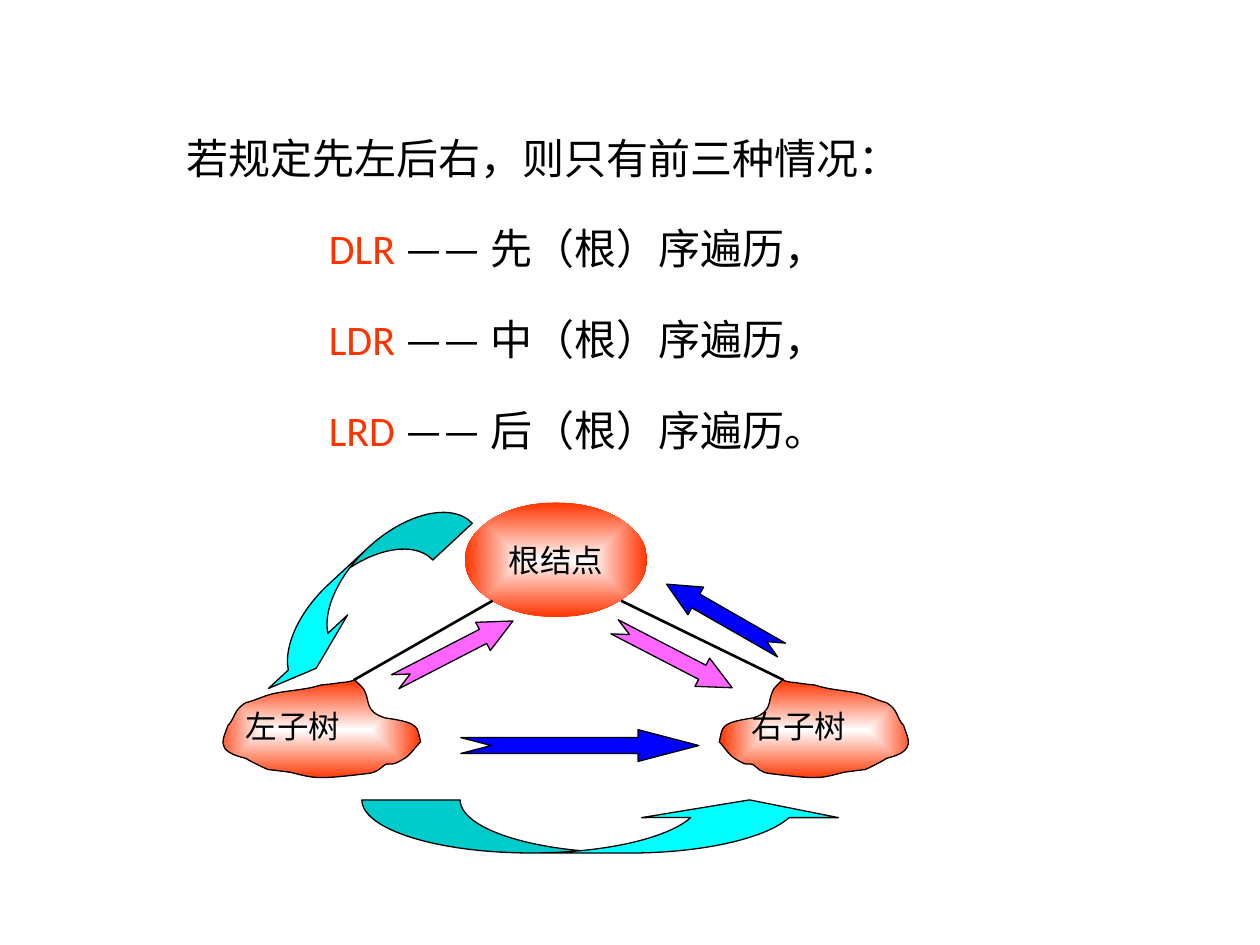
from lxml.etree import SubElement
from pptx import Presentation
from pptx.dml.color import RGBColor
from pptx.enum.shapes import MSO_CONNECTOR, MSO_SHAPE
from pptx.enum.text import MSO_ANCHOR, PP_ALIGN
from pptx.oxml.ns import qn
from pptx.util import Cm, Pt

BLACK = RGBColor(0x00, 0x00, 0x00)
WHITE = RGBColor(0xFF, 0xFF, 0xFF)
RED = RGBColor(0xFF, 0x33, 0x00)
CYAN = RGBColor(0x00, 0xFF, 0xFF)
PINK = RGBColor(0xFF, 0x66, 0xFF)
BLUE = RGBColor(0x00, 0x00, 0xFF)

LATIN_FONT = "Calibri"
CHINESE_FONT = "Noto Sans CJK SC"

HEADING = "若规定先左后右，则只有前三种情况："
ORDERS = [
    ("DLR ", "—— 先（根）序遍历，"),
    ("LDR ", "—— 中（根）序遍历，"),
    ("LRD ", "—— 后（根）序遍历。"),
]

CURVED = MSO_SHAPE.CURVED_RIGHT_ARROW
NOTCHED = MSO_SHAPE.NOTCHED_RIGHT_ARROW
ARROWS = [
    (CURVED, (2.36, 0, 1.07, 5.38), 47.1, (1.016, 2.032, 0.333), CYAN),
    (CURVED, (7.37, 2.46, 1.07, 9.8), 270, (1.853, 3.705, 0.333), CYAN),
    (NOTCHED, (3.53, 3.51, 2.67, 0.64), 332.7, (0.5, 1.06), PINK),
    (NOTCHED, (7.95, 3.63, 2.67, 0.64), 27.4, (0.5, 1.06), PINK),
    (NOTCHED, (8.97, 2.82, 2.67, 0.64), 209.8, (0.5, 1.06), BLUE),
    (NOTCHED, (5, 5.41, 4.8, 0.64), 0, (0.5, 1.917), BLUE),
]

BRANCHES = [(5.64, 1.98, 2.84, 3.58), (8.23, 1.98, 11.51, 3.58)]
SUBTREES = [
    ("左子树", (0, 3.58, 4.19, 2.01), False),
    ("右子树", (10.21, 3.58, 4.01, 2.01), True),
]

OUTLINE_SIZE = (164, 79)
OUTLINE = [
    (112, 0),
    (109, 1), (105, 2), (101, 2),
    (96, 3), (85, 4), (85, 4),
    (73, 8), (60, 8), (47, 11),
    (39, 13), (34, 16), (26, 18),
    (16, 24), (18, 30), (12, 36),
    (9, 46), (0, 56), (26, 62),
    (29, 64), (41, 70), (44, 71),
    (46, 71), (60, 73), (61, 73),
    (81, 78), (81, 79), (123, 74),
    (130, 73), (132, 70), (136, 67),
    (138, 66), (142, 67), (144, 66),
    (157, 60), (156, 57), (164, 49),
    (161, 37), (164, 34), (136, 30),
    (120, 25), (124, 17), (120, 9),
    (119, 6), (115, 3), (112, 0),
]


def add_run(paragraph, text, size, color=BLACK, font=LATIN_FONT):
    """Append one formatted run."""
    run = paragraph.add_run()
    run.text = text
    run.font.size = Pt(size)
    run.font.name = font
    run.font.color.rgb = color


def fill_from_centre(shape, path_kind):
    """Fill a shape with a gradient from a white centre to a red edge."""
    shape.fill.gradient()
    for stop, color in zip(shape.fill.gradient_stops, (WHITE, RED)):
        stop.color.rgb = color
    gradient = shape.element.spPr.find(qn("a:gradFill"))
    gradient.remove(gradient.find(qn("a:lin")))
    centre = SubElement(gradient, qn("a:path"), path=path_kind)
    SubElement(centre, qn("a:fillToRect"), l="50000", t="50000", r="50000", b="50000")


def set_outline(shape):
    """Give a shape a thin black line and no shadow."""
    shape.shadow.inherit = False
    shape.line.color.rgb = BLACK
    shape.line.width = Pt(0.75)


def curve_segments(shape):
    """Turn each three straight segments of a freeform into one Bezier curve."""
    path = next(shape.element.iter(qn("a:path")))
    segments = path.findall(qn("a:lnTo"))
    for first, second, third in zip(*[iter(segments)] * 3):
        first.tag
        curve = SubElement(path, qn("a:cubicBezTo"))
        path.replace(first, curve)
        for segment in (first, second, third):
            curve.append(segment[0])
        path.remove(second)
        path.remove(third)


def add_orders(slide, left, top, width, height):
    """Write the heading and the three indented traversal orders."""
    frame = slide.shapes.add_textbox(Cm(left), Cm(top), Cm(width), Cm(height)).text_frame
    frame.word_wrap = True
    paragraph = frame.paragraphs[0]
    paragraph.line_spacing = 1.8
    add_run(paragraph, HEADING, 24)
    for name, meaning in ORDERS:
        paragraph = frame.add_paragraph()
        paragraph.line_spacing = 1.8
        paragraph._p.get_or_add_pPr().set("marL", str(Cm(2.87)))
        add_run(paragraph, name, 24, RED)
        add_run(paragraph, meaning, 24)


def add_arrows(slide, left, top):
    """Draw the arrows that show the visiting directions."""
    for kind, (x, y, width, height), rotation, adjustments, color in ARROWS:
        arrow = slide.shapes.add_shape(
            kind, Cm(left + x), Cm(top + y), Cm(width), Cm(height)
        )
        arrow.rotation = rotation
        for index, value in enumerate(adjustments):
            arrow.adjustments[index] = value
        arrow.fill.solid()
        arrow.fill.fore_color.rgb = color
        set_outline(arrow)


def add_subtree(group, label, left, top, width, height, mirrored):
    """Draw one subtree blob with its label."""
    columns, rows = OUTLINE_SIZE
    points = [
        (
            Cm(left + width * (columns - x if mirrored else x) / columns),
            Cm(top + height * y / rows),
        )
        for x, y in OUTLINE
    ]
    builder = group.shapes.build_freeform(*points[0])
    builder.add_line_segments(points[1:], close=True)
    blob = builder.convert_to_shape()
    curve_segments(blob)
    fill_from_centre(blob, "rect")
    set_outline(blob)
    box = group.shapes.add_textbox(Cm(left + 0.41), Cm(top + 0.41), Cm(3.48), Cm(1.27))
    box.text_frame.word_wrap = True
    add_run(box.text_frame.paragraphs[0], label, 18, font=CHINESE_FONT)


def add_tree(slide, left, top):
    """Draw the root, its branches and both subtrees as one group."""
    group = slide.shapes.add_group_shape()
    root = group.shapes.add_shape(
        MSO_SHAPE.OVAL, Cm(left + 5.08), Cm(top), Cm(3.68), Cm(2.31)
    )
    root.shadow.inherit = False
    root.line.fill.background()
    fill_from_centre(root, "shape")
    frame = root.text_frame
    frame.word_wrap = False
    frame.vertical_anchor = MSO_ANCHOR.MIDDLE
    frame.paragraphs[0].alignment = PP_ALIGN.CENTER
    add_run(frame.paragraphs[0], "根结点", 18)
    for x1, y1, x2, y2 in BRANCHES:
        branch = group.shapes.add_connector(
            MSO_CONNECTOR.STRAIGHT,
            Cm(left + x1), Cm(top + y1), Cm(left + x2), Cm(top + y2),
        )
        branch.line.color.rgb = BLACK
        branch.line.width = Pt(1.5)
        SubElement(branch.element.spPr, qn("a:effectLst"))
    for label, (x, y, width, height), mirrored in SUBTREES:
        add_subtree(group, label, left + x, top + y, width, height, mirrored)


def main():
    """Build and save the slide."""
    presentation = Presentation()
    presentation.slide_width = Cm(25.4)
    presentation.slide_height = Cm(19.05)
    slide = presentation.slides.add_slide(presentation.slide_layouts[6])
    add_orders(slide, 3.51, 1.73, 15.19, 7.57)
    add_arrows(slide, 4.29, 9.3)
    add_tree(slide, 4.29, 10.13)
    presentation.save("out.pptx")


if __name__ == "__main__":
    main()
